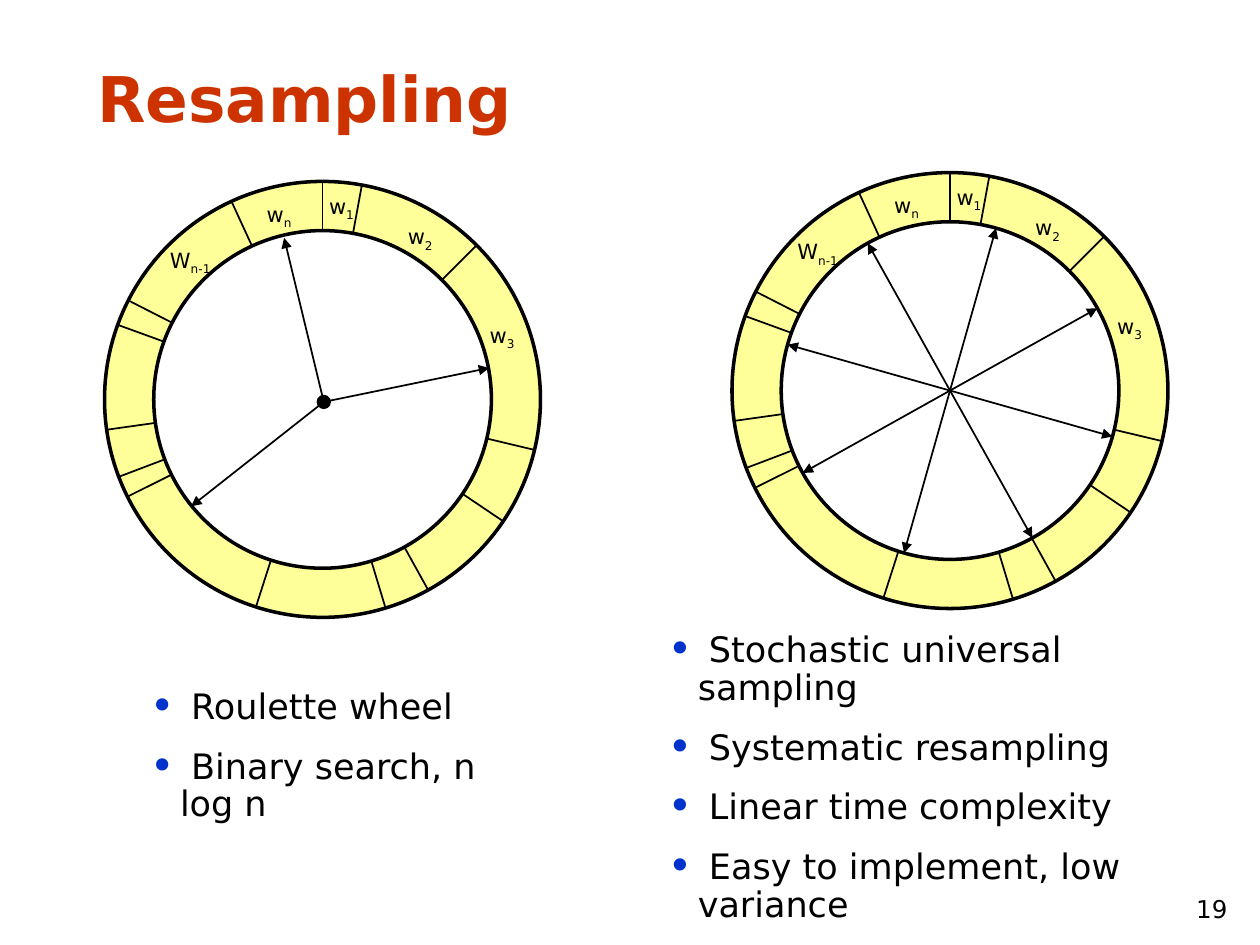
from dataclasses import dataclass
from math import cos, radians, sin

from pptx import Presentation
from pptx.dml.color import RGBColor
from pptx.enum.shapes import MSO_CONNECTOR as CONNECTOR, MSO_SHAPE as SHAPE
from pptx.enum.text import MSO_ANCHOR as ANCHOR, PP_ALIGN as ALIGN
from pptx.oxml.ns import qn
from pptx.util import Inches, Pt
from lxml.etree import SubElement


@dataclass(frozen=True)
class Theme:
    font: str = "DejaVu Sans"
    title: str = "CC3300"
    bullet: str = "0033CC"
    ring: str = "FFFF99"
    paper: str = "FFFFFF"
    ink: str = "000000"
    title_size: int = 36
    list_size: int = 20
    number_size: int = 14
    label_size: int = 12


THEME = Theme()

# Content: angles run clockwise in degrees from the top
TITLE = "Resampling"
PAGE_NUMBER = "19"
SLICE_ANGLES = [0, 10.4, 45, 103.4, 124, 151, 163.2, 197.8,
                243.5, 249.2, 262, 290, 297, 335.3]
# Letter, subscript, box corner relative to the wheel centre, box width
WEIGHTS = [
    ("w", "1", -0.04, -1.68, 0.38),
    ("w", "2", 0.57, -1.44, 0.41),
    ("w", "3", 1.22, -0.66, 0.41),
    ("w", "n", -0.55, -1.62, 0.41),
    ("W", "n-1", -1.33, -1.25, 0.56),
]
ROULETTE_CENTRE = (2.56, 3.17)
ROULETTE_HUB = (2.57, 3.19)
ROULETTE_ANGLES = [78.4, 346.4, 231.8]
UNIVERSAL_CENTRE = (7.54, 3.1)
UNIVERSAL_ANGLES = [15.8 + 45 * step for step in range(4)]
LISTS = [
    ((1.09, 5.42, 3.22, 0.88), [" Roulette wheel", " Binary search, n log n"]),
    ((5.2, 4.97, 4.6, 1.82), [" Stochastic universal sampling",
                              " Systematic resampling",
                              " Linear time complexity",
                              " Easy to implement, low variance"]),
]
OUTER_RADIUS, INNER_RADIUS, HUB_RADIUS = 1.73, 1.34, 0.05


def rgb(value):
    return RGBColor.from_string(value)


def on_circle(centre, radius, angle):
    turn = radians(angle)
    return centre[0] + radius * sin(turn), centre[1] - radius * cos(turn)


def style(run, size, color=THEME.ink, bold=False):
    run.font.name, run.font.size, run.font.bold = THEME.font, Pt(size), bold
    run.font.color.rgb = rgb(color)


def add_circle(shapes, centre, radius, fill, width):
    x, y = centre
    circle = shapes.add_shape(SHAPE.OVAL, Inches(x - radius), Inches(y - radius),
                              Inches(2 * radius), Inches(2 * radius))
    circle.shadow.inherit = False
    circle.fill.solid()
    circle.fill.fore_color.rgb = rgb(fill)
    circle.line.color.rgb = rgb(THEME.ink)
    circle.line.width = Pt(width)


def add_line(shapes, start, end, arrowheads=()):
    line = shapes.add_connector(CONNECTOR.STRAIGHT, *map(Inches, start + end))
    line.line.color.rgb = rgb(THEME.ink)
    line.line.width = Pt(1)
    for side in arrowheads:
        SubElement(line.line._get_or_add_ln(), qn(f"a:{side}"), type="triangle")
    SubElement(line._element.spPr, qn("a:effectLst"))


def add_text(shapes, box, text):
    text_box = shapes.add_textbox(*map(Inches, box))
    text_box.text_frame.word_wrap = True
    text_box.text_frame.text = text
    return text_box.text_frame


def add_weight_label(shapes, box, letter, subscript):
    frame = add_text(shapes, box, letter)
    # The full box width keeps letter and subscript on one line
    frame.margin_left = frame.margin_right = 0
    label = frame.paragraphs[0]
    label.alignment, label.line_spacing = ALIGN.CENTER, 0.9
    index = label.add_run()
    index.text = subscript
    for run in label.runs:
        style(run, THEME.label_size)
    index.font._element.set("baseline", "-25000")


def add_wheel(shapes, centre):
    """Draw a ring cut into weighted slices, with its labels."""
    wheel = shapes.add_group_shape().shapes
    add_circle(wheel, centre, OUTER_RADIUS, THEME.ring, 2)
    for angle in SLICE_ANGLES:
        add_line(wheel, centre, on_circle(centre, OUTER_RADIUS, angle))
    add_circle(wheel, centre, INNER_RADIUS, THEME.paper, 2)
    for letter, subscript, dx, dy, width in WEIGHTS:
        box = (centre[0] + dx, centre[1] + dy, width, 0.31)
        add_weight_label(wheel, box, letter, subscript)
    return wheel


def add_bullets(shapes, box, items):
    frame = add_text(shapes, box, "\n".join(items))
    for position, item in enumerate(frame.paragraphs):
        item.line_spacing = 0.9
        item.space_before = Pt(12.5 if position else 0)
        props = item._p.get_or_add_pPr()
        props.set("marL", str(Inches(0.24)))
        props.set("indent", str(Inches(-0.24)))
        color = SubElement(props, qn("a:buClr"))
        SubElement(color, qn("a:srgbClr"), val=THEME.bullet)
        SubElement(props, qn("a:buSzPct"), val="120000")
        SubElement(props, qn("a:buFont"), typeface=THEME.font)
        SubElement(props, qn("a:buChar"), char="•")
        style(item.runs[0], THEME.list_size)


def main():
    deck = Presentation()
    deck.slide_width, deck.slide_height = Inches(10), Inches(7.5)
    slide = deck.slides.add_slide(deck.slide_layouts[5])
    shapes = slide.shapes

    # Title
    title = shapes.title
    title.left, title.top, title.width, title.height = map(
        Inches, (0.67, 0.42, 9.21, 0.7))
    title.text_frame.text = TITLE
    title.text_frame.vertical_anchor = ANCHOR.BOTTOM
    heading = title.text_frame.paragraphs[0]
    heading.alignment = ALIGN.LEFT
    style(heading.runs[0], THEME.title_size, THEME.title, bold=True)

    # Universal sampling: evenly spaced arrows across the wheel
    universal = add_wheel(shapes, UNIVERSAL_CENTRE)
    for angle in UNIVERSAL_ANGLES:
        add_line(universal, on_circle(UNIVERSAL_CENTRE, INNER_RADIUS, angle + 180),
                 on_circle(UNIVERSAL_CENTRE, INNER_RADIUS, angle),
                 ("headEnd", "tailEnd"))

    # Roulette wheel: independent arrows from the hub
    add_wheel(shapes, ROULETTE_CENTRE)
    for angle in ROULETTE_ANGLES:
        add_line(shapes, ROULETTE_HUB,
                 on_circle(ROULETTE_HUB, INNER_RADIUS, angle), ("tailEnd",))
    add_circle(shapes, ROULETTE_HUB, HUB_RADIUS, THEME.ink, 1)

    # Bullet lists
    for box, items in LISTS:
        add_bullets(shapes, box, items)

    # Page number
    number = add_text(shapes, (9.17, 6.88, 0.67, 0.5), PAGE_NUMBER)
    number.vertical_anchor = ANCHOR.BOTTOM
    number.paragraphs[0].alignment = ALIGN.RIGHT
    style(number.paragraphs[0].runs[0], THEME.number_size)

    deck.save("out.pptx")


if __name__ == "__main__":
    main()
